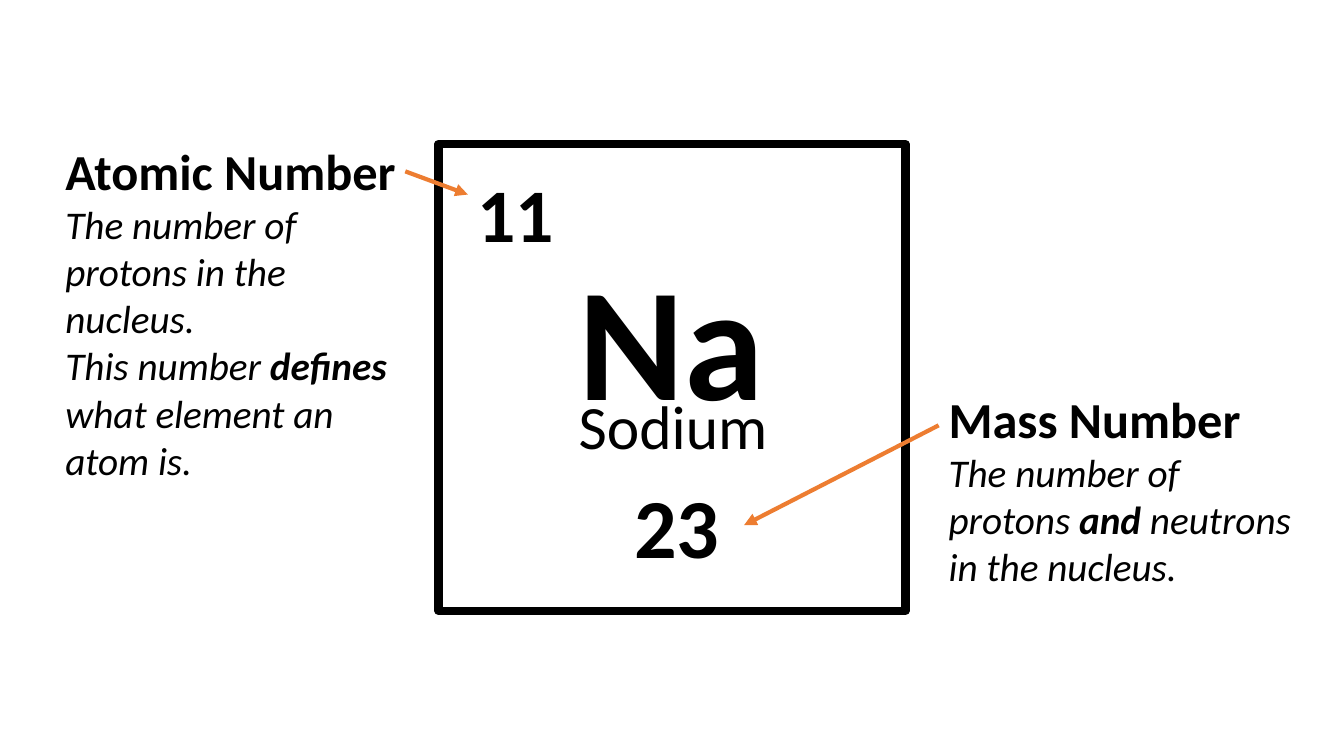
from lxml.etree import SubElement
from pptx import Presentation
from pptx.dml.color import RGBColor
from pptx.enum.shapes import MSO_CONNECTOR, MSO_SHAPE
from pptx.enum.text import MSO_AUTO_SIZE
from pptx.oxml.ns import qn
from pptx.util import Inches, Pt

COLUMNS, ROWS = 133.3, 75
CELL = Inches(0.1)
INK, ARROW = "000000", "ED7D31"

FORMATS = {
    "symbol": {"size": Pt(115), "bold": True},
    "element": {"size": Pt(44), "bold": False},
    "atomic": {"size": Pt(54), "bold": True},
    "mass": {"size": Pt(60), "bold": True},
    "heading": {"size": Pt(36), "bold": True},
    "body": {"size": Pt(28), "bold": False, "italic": True},
    "stress": {"size": Pt(28), "bold": True, "italic": True},
}

TILE = (43.5, 14.3, 46.3, 46.3)

TILE_LABELS = [
    ("Na", "symbol", (56.4, 23.3, 20.6, 20.4)),
    ("Sodium", "element", (56.4, 38, 21.4, 8.4)),
    ("11", "atomic", (46.4, 16.1, 9.7, 10.1)),
    ("23", "mass", (61.9, 46.6, 10.5, 11.1)),
]

EXPLANATIONS = [
    ((5.5, 13.4, 36.6, 40.1), [
        [("Atomic Number", "heading")],
        [("The number of protons in the nucleus.", "body")],
        [("This number ", "body"), ("defines", "stress"),
         (" what element an atom is.", "body")],
    ]),
    ((93.1, 38, 36.6, 25.9), [
        [("Mass Number", "heading")],
        [("The number of protons ", "body"), ("and", "stress"),
         (" neutrons in the nucleus.", "body")],
    ]),
]

POINTERS = [
    (40.2, 17, 46.4, 19.3),
    (93.1, 42.2, 73.8, 52.1),
]


def color(value):
    return RGBColor.from_string(value)


def on_grid(cells):
    return [round(cell * CELL) for cell in cells]


def add_tile(slide):
    tile = slide.shapes.add_shape(MSO_SHAPE.RECTANGLE, *on_grid(TILE))
    tile.shadow.inherit = False
    tile.fill.background()
    tile.line.color.rgb = color(INK)
    tile.line.width = Pt(6)


def add_words(slide, place, paragraphs, wrap):
    frame = slide.shapes.add_textbox(*on_grid(place)).text_frame
    frame.word_wrap = wrap
    frame.auto_size = MSO_AUTO_SIZE.SHAPE_TO_FIT_TEXT
    for index, pieces in enumerate(paragraphs):
        paragraph = frame.add_paragraph() if index else frame.paragraphs[0]
        for words, style in pieces:
            run = paragraph.add_run()
            run.text = words
            run.font.color.rgb = color(INK)
            for name, value in {"name": "Calibri", **FORMATS[style]}.items():
                setattr(run.font, name, value)


def add_pointer(slide, ends):
    pointer = slide.shapes.add_connector(MSO_CONNECTOR.STRAIGHT, *on_grid(ends))
    pointer.line.color.rgb = color(ARROW)
    pointer.line.width = Pt(3)
    SubElement(pointer.line._get_or_add_ln(), qn("a:tailEnd"), type="triangle")
    SubElement(pointer._element.spPr, qn("a:effectLst"))


def main():
    """Build the slide that explains the sodium tile of the periodic table."""
    deck = Presentation()
    deck.slide_width, deck.slide_height = on_grid((COLUMNS, ROWS))
    slide = deck.slides.add_slide(deck.slide_layouts[6])
    add_tile(slide)
    for words, style, place in TILE_LABELS:
        add_words(slide, place, [[(words, style)]], wrap=False)
    for place, paragraphs in EXPLANATIONS:
        add_words(slide, place, paragraphs, wrap=True)
    for ends in POINTERS:
        add_pointer(slide, ends)
    deck.save("out.pptx")


if __name__ == "__main__":
    main()
